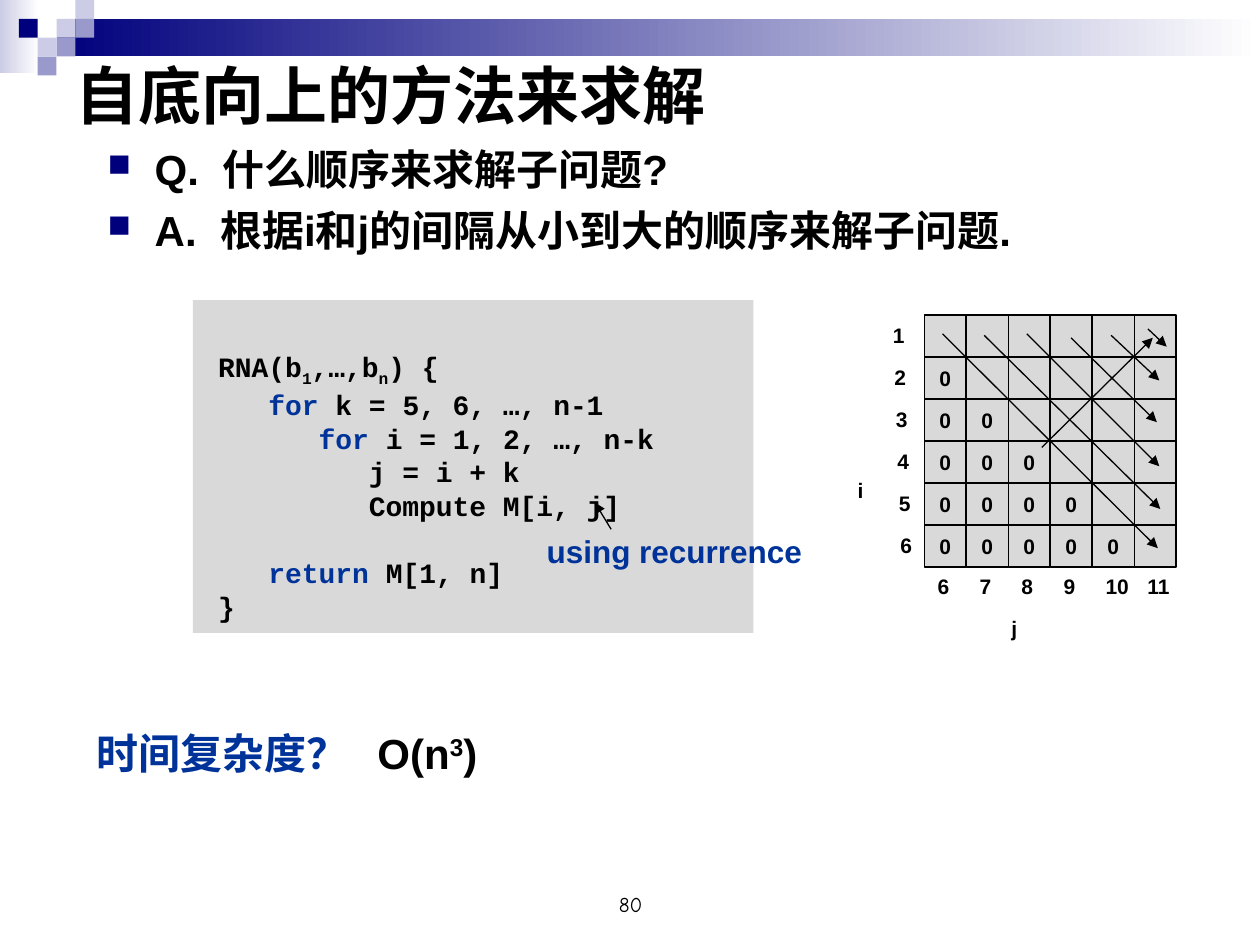
from dataclasses import dataclass

from lxml.etree import SubElement
from pptx import Presentation
from pptx.dml.color import RGBColor
from pptx.enum.shapes import MSO_CONNECTOR, MSO_SHAPE
from pptx.enum.text import MSO_ANCHOR, PP_ALIGN
from pptx.oxml.ns import qn
from pptx.util import Cm, Pt


@dataclass(frozen=True)
class Theme:
    navy: str = "00007D"
    mid: str = "9999CC"
    pale: str = "CCCCE6"
    white: str = "FFFFFF"
    grey: str = "D9D9D9"
    blue: str = "003399"
    black: str = "000000"
    sans: str = "Arial"
    mono: str = "Courier New"
    comic: str = "Comic Neue"
    head: int = 36
    body: int = 24
    note: int = 18
    code: int = 16
    small: int = 12


LOOK = Theme()


def rgb(code):
    return RGBColor.from_string(code)


def write(shape, lines, size=LOOK.small, font=LOOK.sans, color=LOOK.black, bold=True,
          align=PP_ALIGN.LEFT, anchor=MSO_ANCHOR.TOP, wrap=True, inset=(0.25, 0.13),
          lead=None, gaps=None):
    """Fill a shape; a line is a string or a list of (text, color, baseline) runs."""
    frame = shape.text_frame
    frame.word_wrap = wrap
    frame.vertical_anchor = anchor
    frame.margin_left = frame.margin_right = Cm(inset[0])
    frame.margin_top = frame.margin_bottom = Cm(inset[1])
    for num, line in enumerate(lines):
        para = frame.add_paragraph() if num else frame.paragraphs[0]
        para.alignment = align
        if lead:
            para.line_spacing = Pt(lead)
        if gaps and num in gaps:
            para.space_before = Pt(gaps[num])
        runs = [(line, color, 0)] if isinstance(line, str) else line
        for text, tint, shift in runs:
            run = para.add_run()
            run.text = text
            run.font.size = Pt(size)
            run.font.name = font
            run.font.bold = bold
            run.font.color.rgb = rgb(tint)
            if shift:
                run.font._element.set("baseline", str(shift * 1000))
    return frame


def label(slide, box, lines, **style):
    return write(slide.shapes.add_textbox(*map(Cm, box)), lines, **style)


def block(slide, box, fill, edge=None, fade=None):
    """Draw a rectangle, plain or fading to a second colour."""
    shape = slide.shapes.add_shape(MSO_SHAPE.RECTANGLE, *map(Cm, box))
    shape.shadow.inherit = False
    if fade:
        shape.fill.gradient()
        shape.fill.gradient_angle = 0
        for stop, tint in zip(shape.fill.gradient_stops, (fill, fade)):
            stop.color.rgb = rgb(tint)
    else:
        shape.fill.solid()
        shape.fill.fore_color.rgb = rgb(fill)
    if edge:
        shape.line.color.rgb = rgb(edge)
        shape.line.width = Pt(0.75)
    else:
        shape.line.fill.background()
    return shape


def arrow(slide, left, top, ends):
    x1, y1, x2, y2 = ends
    line = slide.shapes.add_connector(
        MSO_CONNECTOR.STRAIGHT, Cm(left + x1), Cm(top + y1), Cm(left + x2), Cm(top + y2))
    line.line.color.rgb = rgb(LOOK.black)
    line.line.width = Pt(0.75)
    SubElement(line.line._get_or_add_ln(), qn("a:tailEnd"), type="triangle")
    SubElement(line._element.spPr, qn("a:effectLst"))


def banner(slide, box):
    left, top, width, height = box
    block(slide, (left, top, 0.79, height), LOOK.pale, fade=LOOK.white)
    block(slide, (left + 1.14, top + 0.38, width - 1.14, 0.76), LOOK.navy, fade=LOOK.white)
    side = 0.38
    tiles = ((3, 1, LOOK.pale), (4, 0, LOOK.pale), (4, 1, LOOK.mid), (2, 2, LOOK.pale),
             (1, 1, LOOK.navy), (3, 2, LOOK.mid), (2, 3, LOOK.mid))
    for col, row, tint in tiles:
        block(slide, (left + col * side, top + row * side, side, side), tint)


def points(slide, box, lines):
    """Write a list with square bullets."""
    frame = label(slide, box, lines, size=LOOK.body, inset=(0.47, 0.13), gaps={1: 6})
    for para in frame.paragraphs:
        props = para._p.get_or_add_pPr()
        props.set("marL", str(Cm(0.95)))
        props.set("indent", str(-Cm(0.95)))
        tint = SubElement(props, qn("a:buClr"))
        SubElement(tint, qn("a:srgbClr"), val=LOOK.navy)
        SubElement(props, qn("a:buSzPct"), val="75000")
        SubElement(props, qn("a:buChar"), char="■")


def listing(slide, box):
    left, top = box[:2]
    ink, key = LOOK.black, LOOK.blue
    lines = [
        [("RNA(b", ink, 0), ("1", ink, -25), (",…,b", ink, 0), ("n", ink, -25), (") {", ink, 0)],
        [("   for", key, 0), (" k = 5, 6, …, n-1", ink, 0)],
        [("      for", key, 0), (" i = 1, 2, …, n-k", ink, 0)],
        "         j = i + k",
        "         Compute M[i, j]",
        [("   return", key, 0), (" M[1, n]", ink, 0)],
        "}",
    ]
    lead = 19.2
    frame = write(block(slide, box, LOOK.grey), lines, size=LOOK.code, font=LOOK.mono,
                  inset=(0.51, 0.25), lead=lead, gaps={5: lead})
    frame.margin_top = Cm(1.09)
    arrow(slide, left, top, (8.43, 4.62, 8.1, 4.08))
    label(slide, (left + 6.88, top + 4.54, 5.66, 1.02), ["using recurrence"],
          size=LOOK.note, color=LOOK.blue, wrap=False)


def matrix(slide, box, count=6):
    """Draw the grid M[i, j], zero below the diagonal, with its order of filling."""
    left, top, width, height = box
    step = width / count
    for row in range(count):
        for col in range(count):
            cell = block(slide, (left + col * step, top + row * step, step, step),
                         LOOK.grey, edge=LOOK.black)
            if col < row:
                write(cell, ["0"], align=PP_ALIGN.CENTER, anchor=MSO_ANCHOR.MIDDLE, wrap=False)
    for num in range(count):
        label(slide, (left - 0.88 + 0.03 * num, top + 0.03 + num * step, 0.74, 0.76),
              [str(num + 1)], wrap=False)
        name = str(num + 6)
        label(slide, (left + 0.02 + num * step, top + height, 0.49 + 0.25 * len(name), 0.76),
              [name], wrap=False)
    label(slide, (left - 1.59, top + 3.15, 0.64, 0.76), ["i"], wrap=False)
    label(slide, (left + 1.51, top + 5.92, 0.64, 0.76), ["j"], wrap=False)
    paths = ((0.37, 0.38, 4.71, 4.7), (1.21, 0.41, 4.76, 3.91), (2.07, 0.38, 4.74, 3.05),
             (2.96, 0.46, 4.69, 2.16), (3.77, 0.41, 4.74, 1.32), (4.51, 0.28, 4.89, 0.64),
             (2.37, 2.67, 4.61, 0.46))
    for ends in paths:
        arrow(slide, left, top, ends)


def answer(slide, box):
    ink = LOOK.black
    runs = [("时间复杂度？\t", LOOK.blue, 0), ("O(n", ink, 0), ("3", ink, 30), (")", ink, 0)]
    frame = label(slide, box, [runs], size=LOOK.body, lead=26)
    tabs = SubElement(frame.paragraphs[0]._p.get_or_add_pPr(), qn("a:tabLst"))
    SubElement(tabs, qn("a:tab"), pos=str(Cm(5.66)), algn="l")


def main():
    deck = Presentation()
    deck.slide_width, deck.slide_height = Cm(25.4), Cm(19.05)
    slide = deck.slides.add_slide(deck.slide_layouts[6])
    banner(slide, (0, 0, 25.4, 1.47))
    label(slide, (8.69, 17.35, 8.05, 1.27), ["80"], font=LOOK.comic, bold=False,
          align=PP_ALIGN.CENTER, anchor=MSO_ANCHOR.BOTTOM)
    label(slide, (1.27, 0, 22.86, 3.81), ["自底向上的方法来求解"], size=LOOK.head,
          anchor=MSO_ANCHOR.MIDDLE)
    points(slide, (1.7, 2.77, 21.79, 2.49),
           ["Q.  什么顺序来求解子问题?", "A.  根据i和j的间隔从小到大的顺序来解子问题."])
    listing(slide, (3.89, 6.05, 11.3, 6.71))
    matrix(slide, (18.63, 6.35, 5.08, 5.08))
    answer(slide, (1.7, 14.63, 21.79, 2.49))
    deck.save("out.pptx")


if __name__ == "__main__":
    main()
